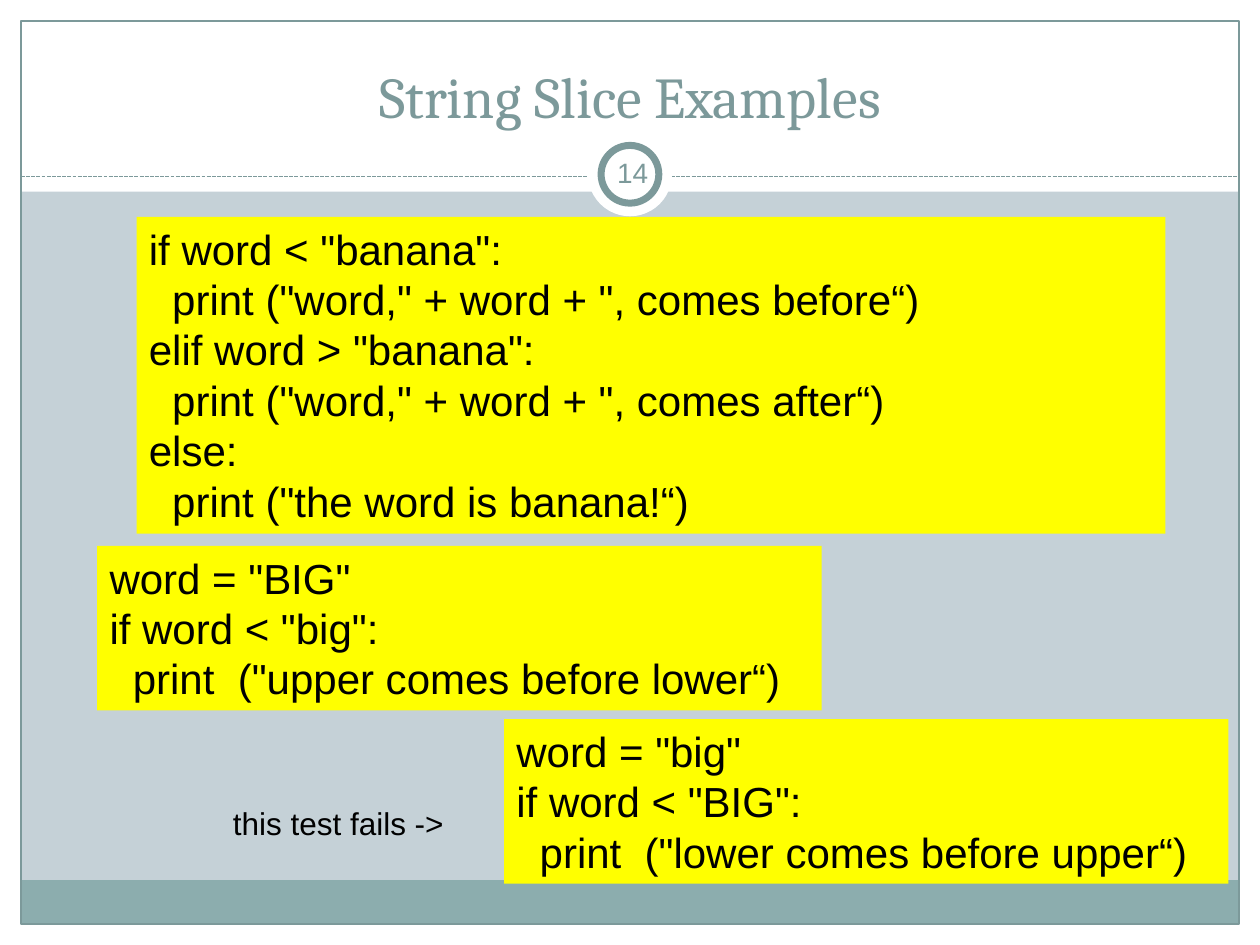
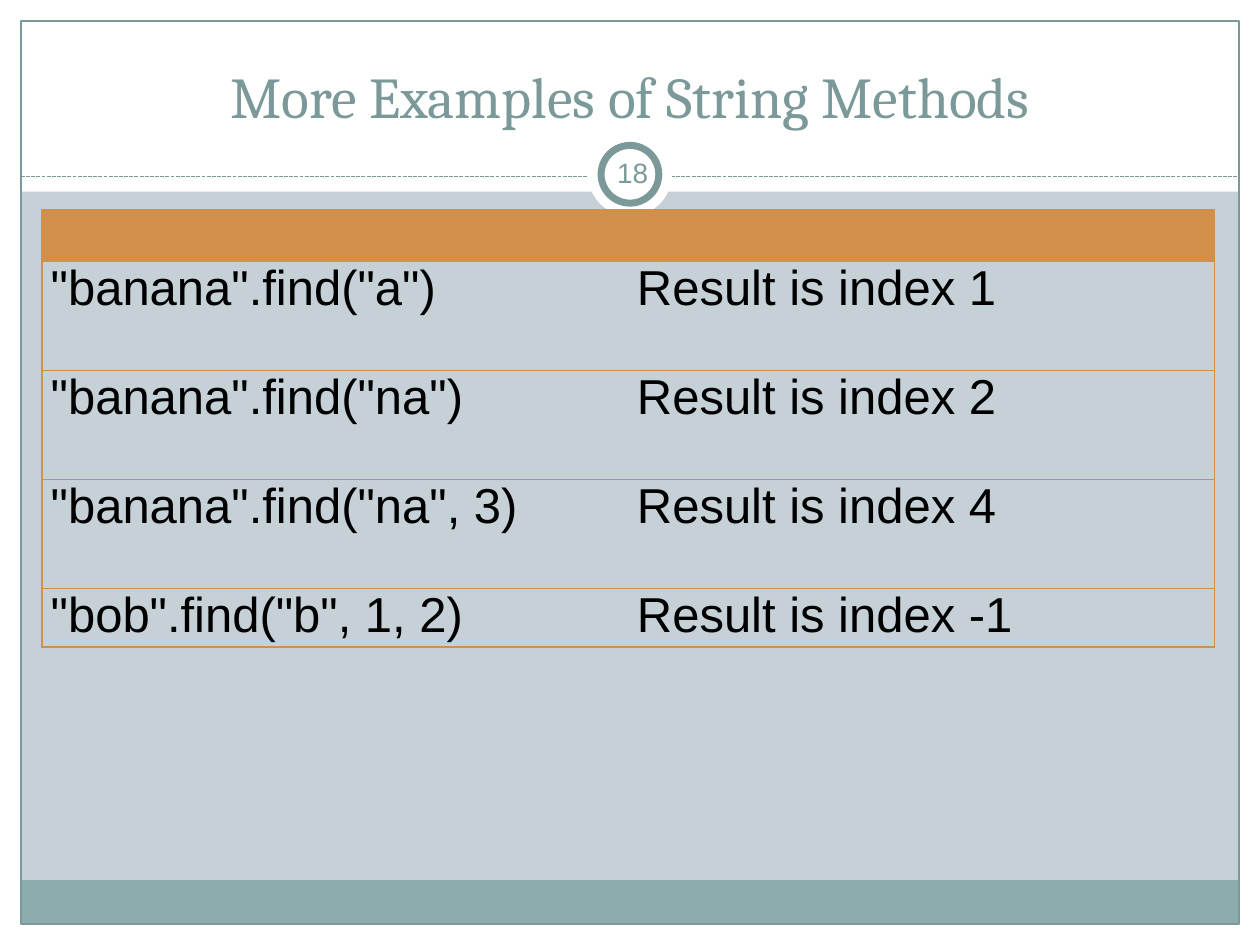
import pptx
import pptx.util
import pptx.dml.color
import pptx.enum.dml
import pptx.enum.shapes
import pptx.enum.text
import pptx.oxml
from pptx.oxml.ns import nsdecls

COLORS = {
    "paper": "C5D1D7", "white": "FFFFFF", "teal": "7C999A", "band": "8CADAE",
    "code": "FFFF00", "ink": "000000", "table": "D19049",
}

# Code boxes: left, top, width, height, lines
CODE_BOXES = [
    (78, 124, 588, 181, [
        'if word < "banana":',
        '  print ("word," + word + ", comes before“)',
        'elif word > "banana":',
        '  print ("word," + word + ", comes after“)',
        'else:',
        '  print ("the word is banana!“)',
    ]),
    (55.5, 312, 414, 94, [
        'word = "BIG"',
        'if word < "big":',
        '  print  ("upper comes before lower“)',
    ]),
    (288, 411, 414, 94, [
        'word = "big"',
        'if word < "BIG":',
        '  print  ("lower comes before upper“)',
    ]),
]
FAIL_NOTE = "this test fails ->"

FIND_RESULTS = [
    ('"banana".find("a")', "Result is index 1"),
    ('"banana".find("na")', "Result is index 2"),
    ('"banana".find("na", 3)', "Result is index 4"),
    ('"bob".find("b", 1, 2)', "Result is index -1"),
]
HEADER_HEIGHT, ROW_HEIGHT, LAST_ROW_HEIGHT = 29.25, 62.3, 31
PLAIN_TABLE_STYLE = "{2D5ABB26-0587-4C30-8999-92F81FD0307C}"

WIDTH, HEIGHT, EDGE = 720, 540, 12
BAND_TOP, BAND_HEIGHT = 503, 25
RULE_Y = 100.8
BADGE_CENTER = (360, 99.6)
MARGINS = [(0, HEIGHT - EDGE, WIDTH, EDGE), (0, 0, WIDTH, 109.5),
           (0, 0, EDGE, HEIGHT), (WIDTH - EDGE, 0, EDGE, HEIGHT)]

Pt = pptx.util.Pt
ALIGN = pptx.enum.text.PP_ALIGN
ANCHOR = pptx.enum.text.MSO_ANCHOR
SHAPE = pptx.enum.shapes.MSO_SHAPE

TITLE = {"size": 33, "name": "Cambria", "color": "teal"}
NUMBER = {"size": 16, "name": "Arial", "color": "teal"}
CODE = {"size": 24, "name": "Arial", "color": "ink"}
NOTE = {**CODE, "size": 18}
CELL = {**CODE, "size": 28}


def rgb(name):
    return pptx.dml.color.RGBColor.from_string(COLORS[name])


def paint(fill, color):
    if color:
        fill.solid()
        fill.fore_color.rgb = rgb(color)
    else:
        fill.background()


def write(frame, lines, style, align=ALIGN.LEFT):
    for index, line in enumerate(lines):
        paragraph = frame.add_paragraph() if index else frame.paragraphs[0]
        paragraph.alignment = align
        run = paragraph.add_run()
        run.text = line
        run.font.size = Pt(style["size"])
        run.font.name = style["name"]
        run.font.color.rgb = rgb(style["color"])


def add_panel(slide, box, fill=None, line=None, line_width=0.75, kind=SHAPE.RECTANGLE):
    panel = slide.shapes.add_shape(kind, *map(Pt, box))
    panel.shadow.inherit = False
    paint(panel.fill, fill)
    paint(panel.line.fill, line)
    if line:
        panel.line.width = Pt(line_width)
    return panel


def add_text(slide, box, lines, style, **frame_format):
    """Add a text box; frame_format holds text frame attributes and align."""
    frame = slide.shapes.add_textbox(*map(Pt, box)).text_frame
    align = frame_format.pop("align", ALIGN.LEFT)
    for name, value in {"word_wrap": True, **frame_format}.items():
        setattr(frame, name, value)
    write(frame, lines, style, align)


def add_disc(slide, diameter, **look):
    x, y = BADGE_CENTER
    box = (x - diameter / 2, y - diameter / 2, diameter, diameter)
    add_panel(slide, box, "white", kind=SHAPE.OVAL, **look)


def add_frame_slide(deck, title, number):
    """Add a slide with the shared border, bands, title and number badge."""
    slide = deck.slides.add_slide(deck.slide_layouts[6])
    paint(slide.background.fill, "paper")
    for box in MARGINS:
        add_panel(slide, box, "white")
    add_panel(slide, (EDGE, BAND_TOP, WIDTH - 2 * EDGE, BAND_HEIGHT), "band")
    add_panel(slide, (EDGE, EDGE, WIDTH - 2 * EDGE, HEIGHT - 2 * EDGE), line="teal")

    rule = slide.shapes.add_connector(
        pptx.enum.shapes.MSO_CONNECTOR.STRAIGHT,
        *map(Pt, (EDGE, RULE_Y, WIDTH - EDGE, RULE_Y)))
    rule.line.color.rgb = rgb("teal")
    rule.line.width = Pt(0.75)
    rule.line.dash_style = pptx.enum.dml.MSO_LINE.SQUARE_DOT
    rule.element.spPr.append(pptx.oxml.parse_xml(f"<a:effectLst {nsdecls('a')}/>"))

    add_disc(slide, 48)
    add_disc(slide, 33, line="teal", line_width=4)
    add_text(slide, (24, 18, 672, 60), [title], TITLE,
             align=ALIGN.CENTER, vertical_anchor=ANCHOR.BOTTOM)
    inset = dict.fromkeys(
        ("margin_left", "margin_top", "margin_right", "margin_bottom"), Pt(3.6))
    add_text(slide, (343.5, 81, 36, 34.5), [str(number)], NUMBER,
             align=ALIGN.CENTER, vertical_anchor=ANCHOR.MIDDLE, **inset)
    return slide


def add_borders(cell, sides):
    for side in sides:
        cell._tc.get_or_add_tcPr().append(pptx.oxml.parse_xml(
            f'<a:ln{side} {nsdecls("a")} w="{Pt(0.75)}"><a:solidFill>'
            f'<a:srgbClr val="{COLORS["table"]}"/></a:solidFill></a:ln{side}>'))


def add_find_table(slide):
    rows = [("", "")] + FIND_RESULTS
    heights = [HEADER_HEIGHT] + [ROW_HEIGHT] * (len(rows) - 2) + [LAST_ROW_HEIGHT]
    frame = slide.shapes.add_table(
        len(rows), 2, *map(Pt, (24, 120, 670, sum(heights))))
    table = frame.table
    table.first_row = table.horz_banding = False
    table._tbl.tblPr.find(pptx.oxml.ns.qn("a:tableStyleId")).text = PLAIN_TABLE_STYLE
    cell_format = {"margin_left": Pt(5), "margin_right": Pt(5),
                   "margin_top": 0, "margin_bottom": 0}
    for r, (texts, height) in enumerate(zip(rows, heights)):
        table.rows[r].height = Pt(height)
        for c, text in enumerate(texts):
            cell = table.cell(r, c)
            for name, value in cell_format.items():
                setattr(cell, name, value)
            add_borders(cell, ("LTB", "RTB")[c])
            paint(cell.fill, None if r else "table")
            if text:
                write(cell.text_frame, [text], CELL)


def main():
    deck = pptx.Presentation()
    deck.slide_width, deck.slide_height = Pt(WIDTH), Pt(HEIGHT)

    slices = add_frame_slide(deck, "String Slice Examples", 14)
    for *box, lines in CODE_BOXES:
        panel = add_panel(slices, box, "code")
        panel.text_frame.vertical_anchor = ANCHOR.TOP
        write(panel.text_frame, lines, CODE)
    add_text(slices, (126, 456, 136, 29), [FAIL_NOTE], NOTE, word_wrap=False)

    add_find_table(add_frame_slide(deck, "More Examples of String Methods", 18))
    deck.save("out.pptx")


if __name__ == "__main__":
    main()
